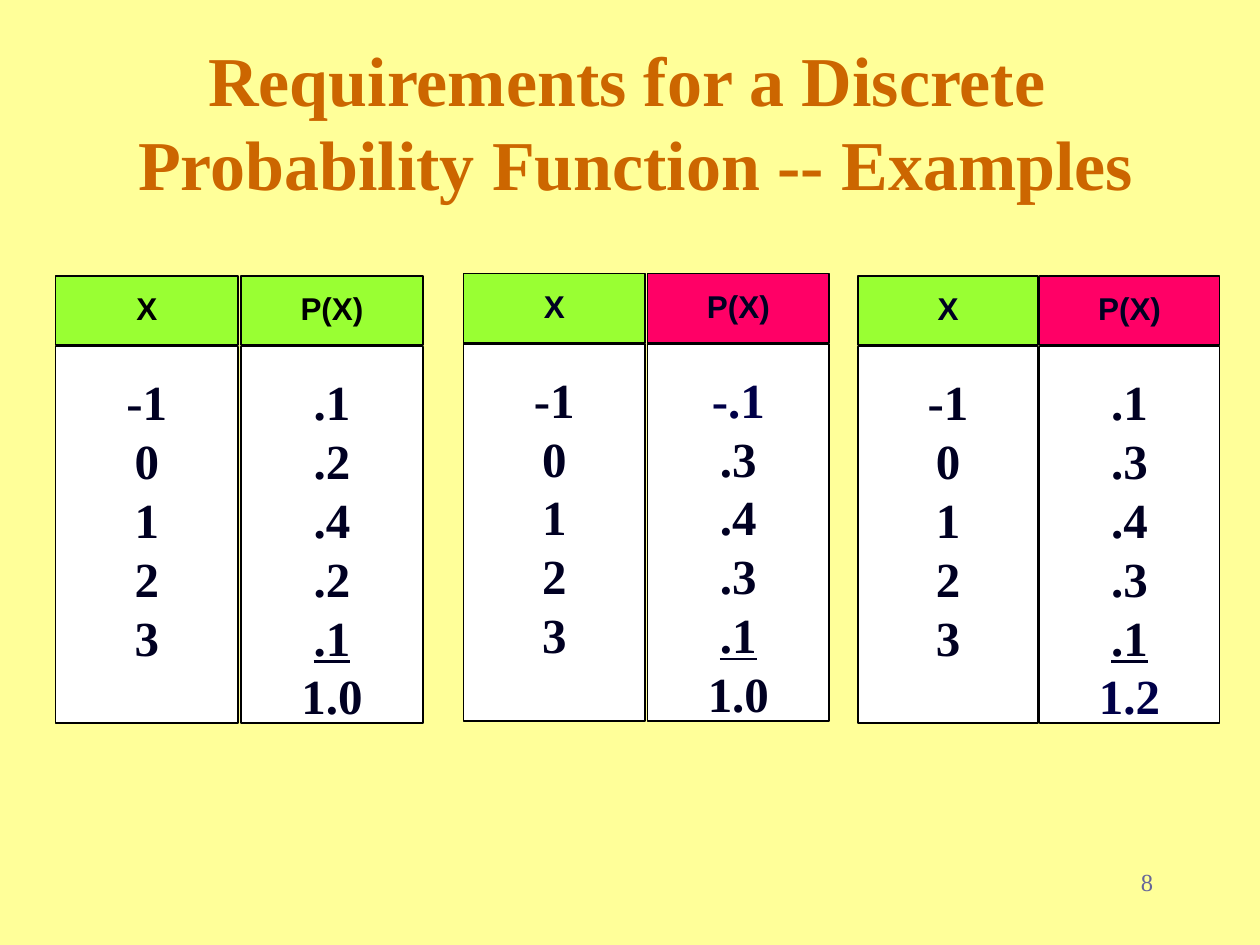
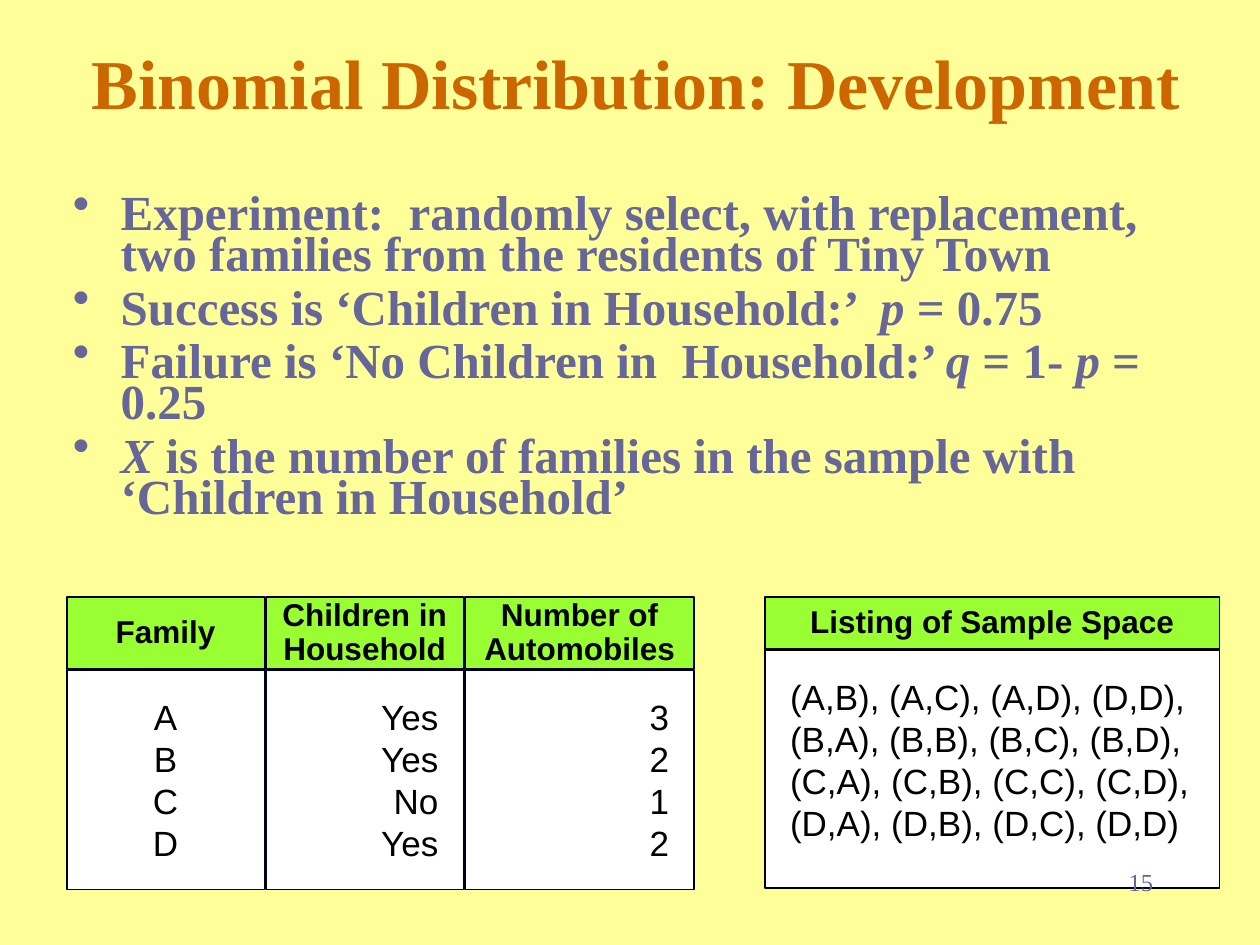
from lxml import etree
from pptx import Presentation
from pptx.dml.color import RGBColor
from pptx.enum.shapes import MSO_SHAPE
from pptx.enum.text import MSO_ANCHOR, PP_ALIGN
from pptx.oxml.ns import qn
from pptx.util import Inches, Pt

RECT = MSO_SHAPE.RECTANGLE
TOP, MIDDLE = MSO_ANCHOR.TOP, MSO_ANCHOR.MIDDLE
LEFT, CENTER, RIGHT = PP_ALIGN.LEFT, PP_ALIGN.CENTER, PP_ALIGN.RIGHT

CREAM = RGBColor(0xFF, 0xFF, 0x99)
ORANGE = RGBColor(0xCC, 0x66, 0x00)
SLATE = RGBColor(0x66, 0x66, 0x99)
LIME = RGBColor(0x99, 0xFF, 0x33)
PINK = RGBColor(0xFF, 0x00, 0x66)
WHITE = RGBColor(0xFF, 0xFF, 0xFF)
BLACK = RGBColor(0x00, 0x00, 0x00)
INK = RGBColor(0x00, 0x00, 0x22)
NAVY = RGBColor(0x00, 0x00, 0x48)

SERIF, SANS = "Times New Roman", "Arial"


class Deck:
    def __init__(self):
        self.file = Presentation()
        self.file.slide_width = Inches(10)
        self.file.slide_height = Inches(7.5)
        self.slide = None

    def page(self):
        self.slide = self.file.slides.add_slide(self.file.slide_layouts[6])
        fill = self.slide.background.fill
        fill.solid()
        fill.fore_color.rgb = CREAM

    def put(self, frame, lines, font, size, color, bold=False,
            align=LEFT, anchor=TOP, pad=None):
        frame.word_wrap = True
        frame.vertical_anchor = anchor
        side, edge = (pad, pad) if pad else (0.1, 0.05)
        frame.margin_left = frame.margin_right = Inches(side)
        frame.margin_top = frame.margin_bottom = Inches(edge)
        for row, line in enumerate(lines):
            para = frame.paragraphs[0] if row == 0 else frame.add_paragraph()
            para.alignment = align
            self.spans(para, line)
            for run in para.runs:
                run.font.name = font
                run.font.size = Pt(size)
                run.font.bold = bold
                run.font.color.rgb = color
        return frame

    def spans(self, para, line):
        parts = line.split("*")
        if len(parts) == 1:
            para.text = line
            return
        for spot, part in enumerate(parts):
            if part:
                run = para.add_run()
                run.text = part
                run.font.italic = spot % 2 == 1

    def label(self, left, top, width, height, lines, *style, **more):
        box = self.slide.shapes.add_textbox(
            Inches(left), Inches(top), Inches(width), Inches(height))
        return self.put(box.text_frame, lines, *style, **more)

    def title(self, text, top):
        self.label(0.42, top, 9.25, 1.25, [text], SERIF, 40, ORANGE,
                   bold=True, align=CENTER, anchor=MIDDLE)

    def number(self, text):
        frame = self.label(8.42, 6.83, 0.83, 0.5, [text], SERIF, 14, SLATE,
                           align=RIGHT)
        frame.paragraphs[0].space_before = Pt(8.8)

    def bullets(self, left, top, width, height, lines):
        frame = self.label(left, top, width, height, lines, SERIF, 28, SLATE,
                           bold=True)
        for para in frame.paragraphs:
            para.line_spacing = 0.7
            para.space_before = Pt(7)
            props = para._p.get_or_add_pPr()
            props.set("marL", str(Inches(0.38)))
            props.set("indent", str(-Inches(0.38)))
            tint = etree.SubElement(props, qn("a:buClr"))
            etree.SubElement(tint, qn("a:srgbClr")).set("val", str(SLATE))
            etree.SubElement(props, qn("a:buChar")).set("char", "•")

    def cell(self, group, left, top, width, height, fill, line):
        box = group.shapes.add_shape(
            RECT, Inches(left), Inches(top), Inches(width), Inches(height))
        box.shadow.inherit = False
        box.fill.solid()
        box.fill.fore_color.rgb = fill
        box.line.color.rgb = line
        box.line.width = Pt(1)
        return box.text_frame

    def grid(self, left, top, widths, heights, heads, columns, aligns, body,
             gap=0.01, line=BLACK, ink=BLACK, fills=None):
        group = self.slide.shapes.add_group_shape()
        high, deep = heights
        frames = []
        for col, width in enumerate(widths):
            fill = fills[col] if fills else LIME
            head = self.cell(group, left, top, width, high, fill, line)
            self.put(head, [heads[col]], SANS, 18, ink, bold=True,
                     align=CENTER, anchor=MIDDLE)
            head.paragraphs[0].line_spacing = 0.9
            frame = self.cell(group, left, top + high + 0.01, width, deep,
                              WHITE, line)
            self.put(frame, columns[col], *body, align=aligns[col], pad=0.2)
            frames.append(frame)
            left += width + gap
        return frames


def examples(deck):
    deck.page()
    deck.title("Requirements for a Discrete \vProbability Function -- Examples",
               0.33)
    points = ["-1", "0", "1", "2", "3"]
    tables = [
        (0.44, 2.19, 1.45, 0.02, LIME, BLACK, ".1 .2 .4 .2 .1 1.0", None),
        (3.68, 2.17, 1.44, 0.02, PINK, INK, "-.1 .3 .4 .3 .1 1.0", 0),
        (6.81, 2.19, 1.43, 0.01, PINK, INK, ".1 .3 .4 .3 .1 1.2", 5),
    ]
    for left, top, width, gap, fill, ink, odds, fault in tables:
        frames = deck.grid(
            left, top, [width] * 2, (0.55, 2.99), ["X", "P(X)"],
            [points, odds.split()], [CENTER] * 2, (SERIF, 28, INK, True),
            gap=gap, ink=ink, fills=[LIME, fill])
        rows = frames[1].paragraphs
        rows[4].runs[0].font.underline = True
        if fault is not None:
            rows[fault].runs[0].font.color.rgb = NAVY
    deck.number("8")


def binomial(deck):
    deck.page()
    deck.title("Binomial Distribution: Development", 0.02)
    deck.bullets(0.48, 1.52, 9.17, 2.9, [
        "Experiment:  randomly select, with replacement, "
        "two families from the residents of Tiny Town",
        "Success is ‘Children in Household:’  *p* = 0.75",
        "Failure is ‘No Children in  Household:’ *q* = 1- *p* = 0.25",
        "*X* is the number of families in the sample with "
        "‘Children in Household’",
    ])
    body = (SANS, 20, BLACK)
    deck.grid(
        0.53, 4.74, [1.57, 1.57, 1.82], (0.57, 1.74),
        ["Family", "Children in Household", "Number of Automobiles"],
        ["ABCD", ["Yes", "Yes", "No", "Yes"], "3212"],
        [CENTER, RIGHT, RIGHT], body, line=INK)
    pairs = [
        "(A,B), (A,C), (A,D), (D,D),",
        "(B,A), (B,B), (B,C), (B,D),",
        "(C,A), (C,B), (C,C), (C,D),",
        "(D,A), (D,B), (D,C), (D,D)",
    ]
    deck.grid(6.07, 4.74, [3.61], (0.41, 1.89), ["Listing of Sample Space"],
              [pairs], [LEFT], body)
    deck.number("15")


def main():
    deck = Deck()
    examples(deck)
    binomial(deck)
    deck.file.save("out.pptx")


if __name__ == "__main__":
    main()
